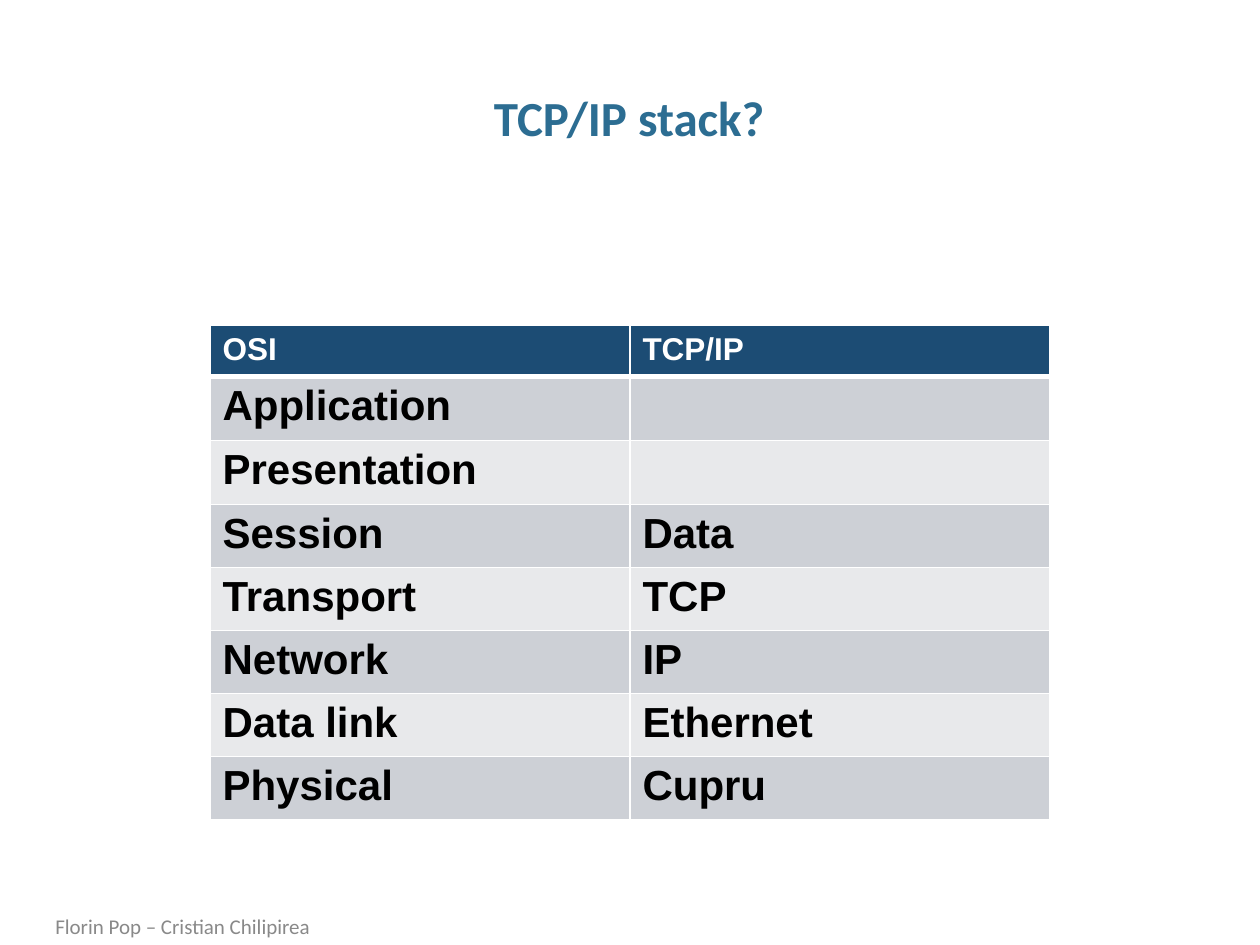
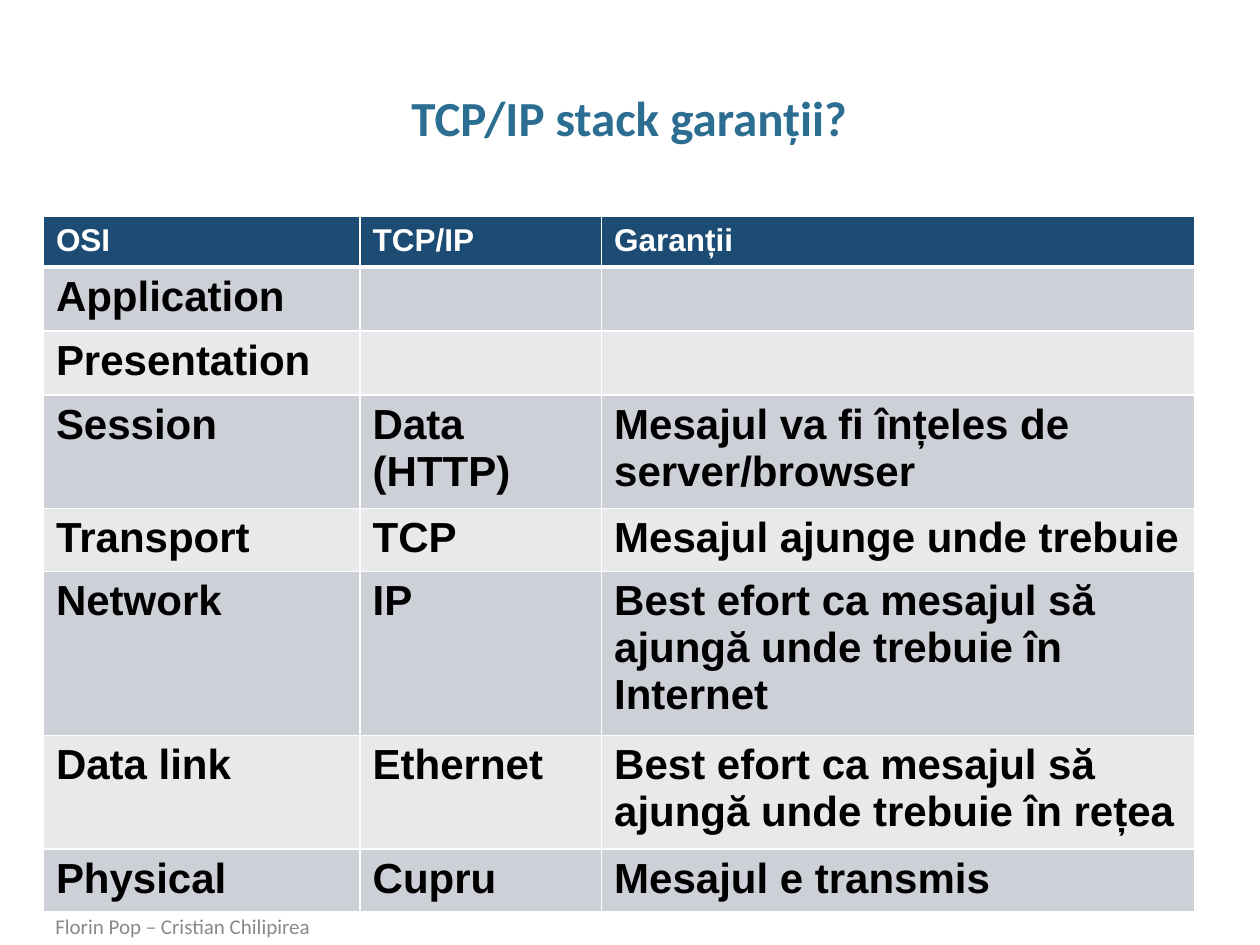
from lxml.etree import SubElement
from pptx import Presentation
from pptx.dml.color import RGBColor
from pptx.enum.text import MSO_ANCHOR, PP_ALIGN
from pptx.oxml.ns import qn
from pptx.util import Pt

FOOTER = "Florin Pop – Cristian Chilipirea"
LAYERS = ["Application", "Presentation", "Session", "Transport", "Network", "Data link", "Physical"]
PROTOCOLS = ["", "", "Data", "TCP", "IP", "Ethernet", "Cupru"]
GUARANTEES = [
    "",
    "",
    "Mesajul va fi înțeles de server/browser",
    "Mesajul ajunge unde trebuie",
    "Best efort ca mesajul să ajungă unde trebuie în Internet",
    "Best efort ca mesajul să ajungă unde trebuie în rețea",
    "Mesajul e transmis",
]
SLIDES = [
    {
        "title": "TCP/IP stack?",
        "columns": [("OSI", 240, LAYERS), ("TCP/IP", 240, PROTOCOLS)],
        "corner": (120, 186),
        "lines": [1] * 7,
    },
    {
        "title": "TCP/IP stack garanții?",
        "columns": [
            ("OSI", 181, LAYERS),
            ("TCP/IP", 138, [name.replace("Data", "Data (HTTP)") for name in PROTOCOLS]),
            ("Garanții", 339.2, GUARANTEES),
        ],
        "corner": (24.8, 123.5),
        "lines": [1, 1, 2, 1, 3, 2, 1],
    },
]

TITLE, FOOTNOTE, HEADER, BLACK, WHITE = "2C6D92", "898989", "1C4C74", "000000", "FFFFFF"
BANDS = ["CDD0D6", "E8E9EB"]
LEFT = 24.5
HEADER_HEIGHT, EMPTY_HEIGHT, LINE_HEIGHT, CELL_PADDING = 29, 36.6, 26.8, 7.2


def color(hex_code):
    return RGBColor.from_string(hex_code)


def add_run(paragraph, text, size, font, hex_code, bold=False):
    run = paragraph.add_run()
    run.text = text
    run.font.size = Pt(size)
    run.font.name = font
    run.font.bold = bold
    run.font.color.rgb = color(hex_code)


def add_title(slide, text):
    title = slide.shapes.title
    title.left, title.top, title.width, title.height = Pt(LEFT), Pt(49), Pt(670), Pt(36)
    frame = title.text_frame
    frame.word_wrap = True
    frame.vertical_anchor = MSO_ANCHOR.TOP
    frame.margin_left = frame.margin_right = 0
    paragraph = frame.paragraphs[0]
    paragraph.alignment = PP_ALIGN.CENTER
    paragraph.line_spacing = 0.95
    add_run(paragraph, text, 28, "Calibri", TITLE, True)


def add_footer(slide):
    frame = slide.shapes.add_textbox(Pt(LEFT), Pt(520), Pt(530), Pt(20)).text_frame
    frame.word_wrap = True
    frame.vertical_anchor = MSO_ANCHOR.BOTTOM
    add_run(frame.paragraphs[0], FOOTER, 12, "Calibri", FOOTNOTE)


def set_borders(cell, top, bottom):
    properties = cell._tc.get_or_add_tcPr()
    for side, width in (("lnL", 1), ("lnR", 1), ("lnT", top), ("lnB", bottom)):
        line = SubElement(properties, qn(f"a:{side}"), w=str(Pt(width)))
        SubElement(SubElement(line, qn("a:solidFill")), qn("a:srgbClr"), val=WHITE)


def fill_cell(cell, text, row):
    set_borders(cell, 3 if row == 1 else 1, 3 if row == 0 else 1)
    cell.fill.solid()
    cell.fill.fore_color.rgb = color(BANDS[(row - 1) % 2] if row else HEADER)
    if text:
        size, ink = (24, BLACK) if row else (18, WHITE)
        add_run(cell.text_frame.paragraphs[0], text, size, "Arial", ink, True)


def add_layer_table(slide, columns, corner, lines):
    heights = [HEADER_HEIGHT] + [
        CELL_PADDING + LINE_HEIGHT * count if protocol else EMPTY_HEIGHT
        for count, protocol in zip(lines, PROTOCOLS)
    ]
    width = sum(column[1] for column in columns)
    table = slide.shapes.add_table(
        len(heights), len(columns), Pt(corner[0]), Pt(corner[1]), Pt(width), Pt(sum(heights))
    ).table
    for row, height in zip(table.rows, heights):
        row.height = Pt(height)
    for index, (heading, column_width, entries) in enumerate(columns):
        table.columns[index].width = Pt(column_width)
        for row, text in enumerate([heading, *entries]):
            fill_cell(table.cell(row, index), text, row)


def main():
    deck = Presentation()
    deck.slide_width, deck.slide_height = Pt(720), Pt(540)
    for content in SLIDES:
        slide = deck.slides.add_slide(deck.slide_layouts[5])
        add_title(slide, content["title"])
        add_footer(slide)
        add_layer_table(slide, content["columns"], content["corner"], content["lines"])
    deck.save("out.pptx")


if __name__ == "__main__":
    main()
